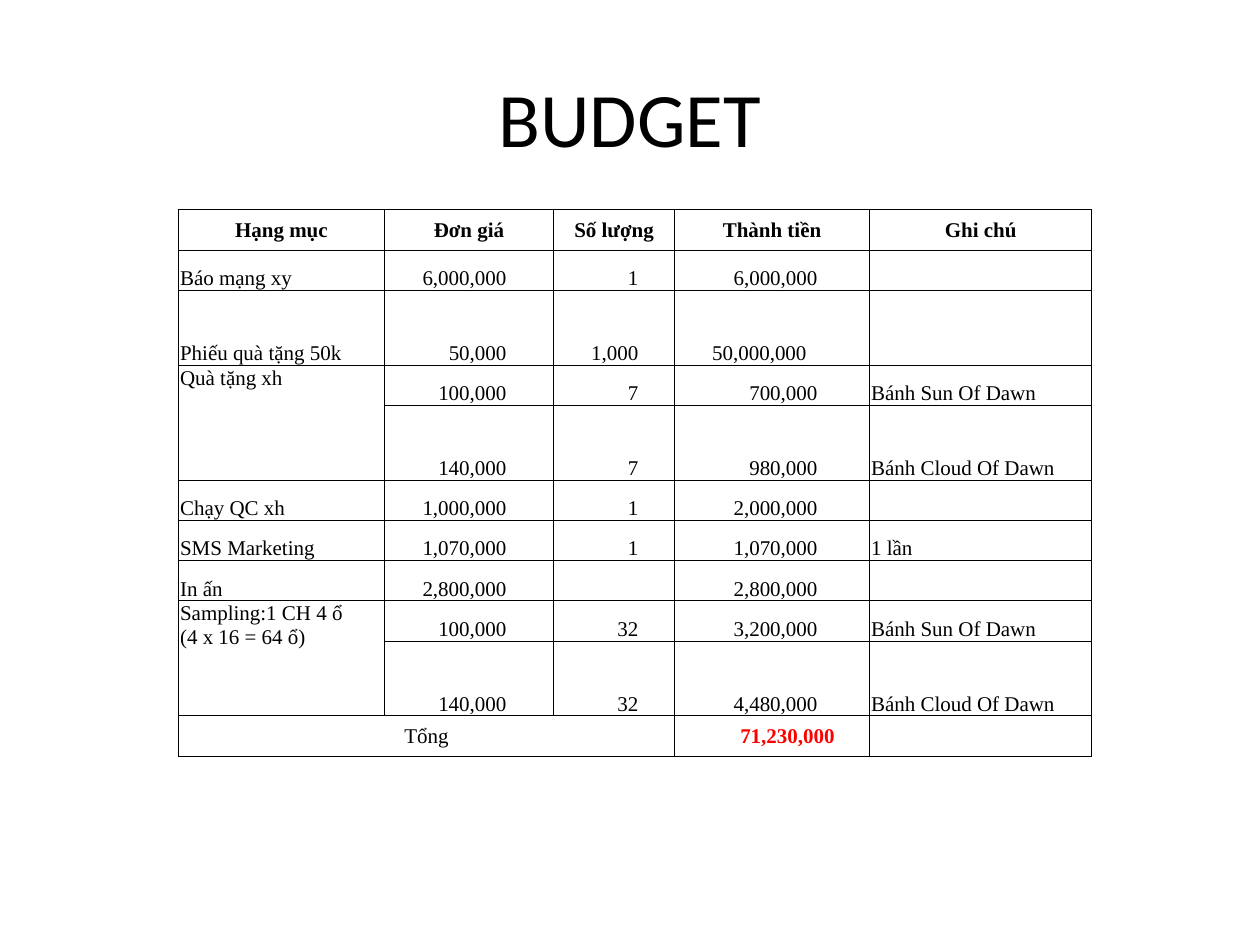
from lxml.etree import SubElement
from pptx import Presentation
from pptx.dml.color import RGBColor
from pptx.enum.text import MSO_ANCHOR, PP_ALIGN
from pptx.oxml.ns import qn
from pptx.util import Cm, Pt


def set_font(paragraph, name, size, color, bold=False):
    paragraph.font.name = name
    paragraph.font.size = Pt(size)
    paragraph.font.bold = bold
    paragraph.font.color.rgb = RGBColor.from_string(color)


def add_borders(cell, color):
    properties = cell._tc.get_or_add_tcPr()
    for side in ("a:lnL", "a:lnR", "a:lnT", "a:lnB"):
        line = SubElement(properties, qn(side), w=str(Pt(0.5)))
        fill = SubElement(line, qn("a:solidFill"))
        SubElement(fill, qn("a:srgbClr"), val=color)


presentation = Presentation()
presentation.slide_width = Cm(25.4)
presentation.slide_height = Cm(19.05)
slide = presentation.slides.add_slide(presentation.slide_layouts[6])

title = slide.shapes.add_textbox(Cm(1.27), Cm(0.76), Cm(22.86), Cm(3.18))
title.text_frame.word_wrap = True
title.text_frame.vertical_anchor = MSO_ANCHOR.MIDDLE
title.text_frame.text = "BUDGET"
paragraph = title.text_frame.paragraphs[0]
paragraph.alignment = PP_ALIGN.CENTER
set_font(paragraph, "Calibri", 44, "000000")

rows = [
    ("Hạng mục", "Đơn giá", "Số lượng", "Thành tiền", "Ghi chú"),
    ("Báo mạng xy", "6,000,000", "1", "6,000,000", ""),
    ("Phiếu quà tặng 50k", "50,000", "1,000", "50,000,000", ""),
    ("Quà tặng xh", "100,000", "7", "700,000", "Bánh Sun Of Dawn"),
    ("", "140,000", "7", "980,000", "Bánh Cloud Of Dawn"),
    ("Chạy QC xh", "1,000,000", "1", "2,000,000", ""),
    ("SMS Marketing", "1,070,000", "1", "1,070,000", "1 lần"),
    ("In ấn", "2,800,000", "", "2,800,000", ""),
    ("Sampling:1 CH 4 ổ\n(4 x 16 = 64 ổ)", "100,000", "32", "3,200,000", "Bánh Sun Of Dawn"),
    ("", "140,000", "32", "4,480,000", "Bánh Cloud Of Dawn"),
    ("Tổng", "", "", "71,230,000", ""),
]
column_widths = [4.15, 3.41, 2.44, 3.93, 4.48]
number_margins = {1: 0.95, 2: 0.73, 3: 1.05}
tall_rows = (2, 4, 9)
group_rows = (3, 8)
total_row = len(rows) - 1
row_heights = [1.51 if index in tall_rows else 0.81 for index in range(len(rows))]

table = slide.shapes.add_table(
    len(rows), len(column_widths), Cm(3.6), Cm(4.23),
    Cm(sum(column_widths)), Cm(sum(row_heights)),
).table
table.first_row = False
table.horz_banding = False
for column, width in zip(table.columns, column_widths):
    column.width = Cm(width)
for row, height in zip(table.rows, row_heights):
    row.height = Cm(height)

for row_index, values in enumerate(rows):
    centered = row_index in (0, total_row)
    for column_index, value in enumerate(values):
        cell = table.cell(row_index, column_index)
        add_borders(cell, "000000")
        cell.fill.background()
        cell.margin_left = cell.margin_right = cell.margin_top = Cm(0.03)
        cell.margin_bottom = 0
        cell.vertical_anchor = MSO_ANCHOR.MIDDLE if centered else MSO_ANCHOR.BOTTOM
        alignment = PP_ALIGN.CENTER if centered else PP_ALIGN.LEFT
        if not centered and column_index in number_margins:
            alignment = PP_ALIGN.RIGHT
            cell.margin_right = Cm(number_margins[column_index])
        cell.text = value
        for paragraph in cell.text_frame.paragraphs:
            paragraph.alignment = alignment
            set_font(paragraph, "Times New Roman", 12, "000000", row_index == 0)

for row_index in group_rows:
    group = table.cell(row_index, 0)
    group.merge(table.cell(row_index + 1, 0))
    group.vertical_anchor = MSO_ANCHOR.TOP
table.cell(total_row, 0).merge(table.cell(total_row, 2))
table.cell(2, 3).margin_right = Cm(1.27)

total = table.cell(total_row, 3)
total.margin_left = Cm(0.65)
set_font(total.text_frame.paragraphs[0], "Times New Roman", 12, "FF0000", True)

presentation.save("out.pptx")
